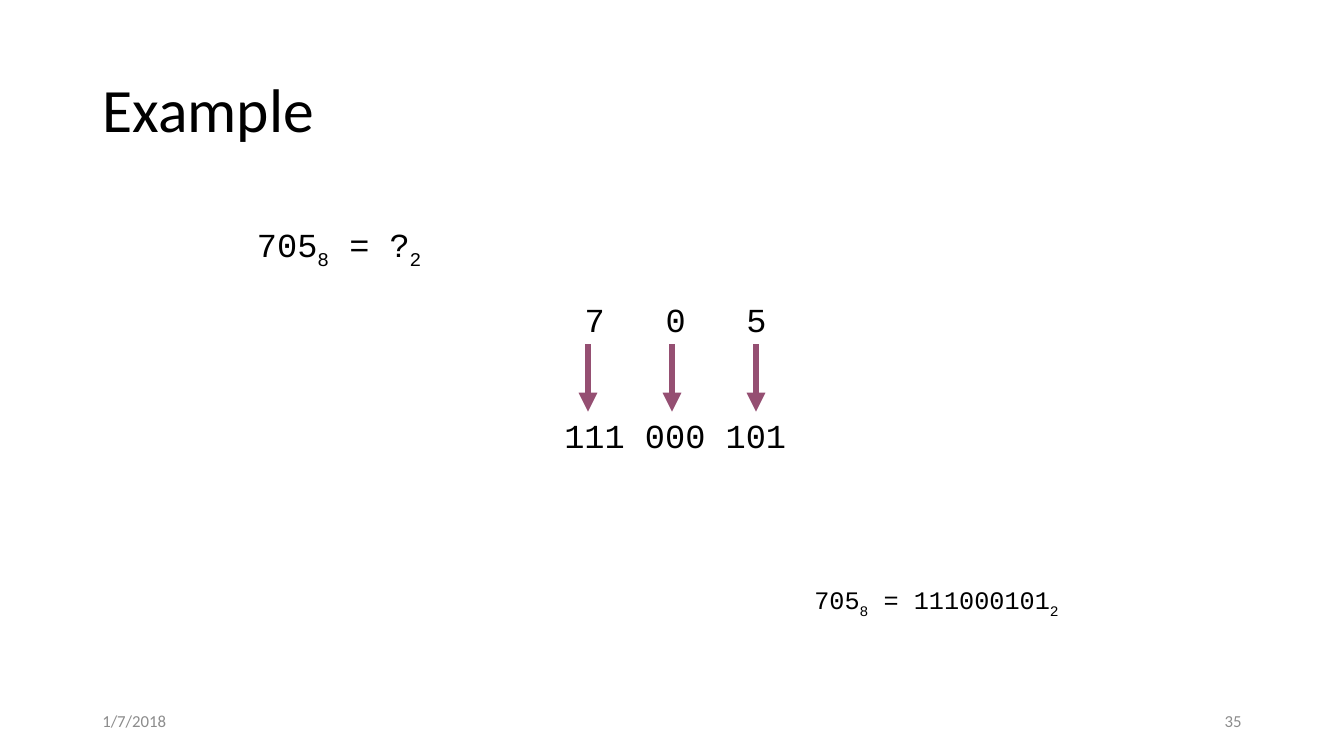
import pptx
import pptx.dml.color
import pptx.enum.shapes
import pptx.enum.text
import pptx.oxml.ns
import pptx.util
from lxml import etree

PX = 9525
ALIGN = pptx.enum.text.PP_ALIGN
ANCHOR = pptx.enum.text.MSO_ANCHOR
BLACK = "000000"
PURPLE = "954F72"
GRAY = "8C8C8C"
CODE = {"name": "Courier New", "size": pptx.util.Pt(24)}
SMALL_CODE = {"name": "Courier New", "size": pptx.util.Pt(18)}
TITLE = {"name": "Calibri", "size": pptx.util.Pt(44)}
FOOTER = {"name": "Calibri", "size": pptx.util.Pt(12)}
CENTERED = {"alignment": ALIGN.CENTER}


def px(length):
    return pptx.util.Emu(length * PX)


def rgb(value):
    return pptx.dml.color.RGBColor.from_string(value)


def set_all(target, values):
    for name, value in values.items():
        setattr(target, name, value)


def add_child(parent, tag, **attributes):
    return etree.SubElement(parent, pptx.oxml.ns.qn(tag), attributes)


def write(para, text, font, color=BLACK, baseline=0):
    span = para.add_run()
    span.text = text
    set_all(span.font, font)
    span.font.color.rgb = rgb(color)
    if baseline:
        span._r.get_or_add_rPr().set("baseline", str(baseline * 1000))


def add_box(page, left, top, width, height, anchor=ANCHOR.TOP):
    box = page.shapes.add_textbox(px(left), px(top), px(width), px(height))
    set_all(box.text_frame, {"word_wrap": True, "vertical_anchor": anchor})
    return box.text_frame


def add_title(page, text):
    title = page.shapes.title
    set_all(title, {"left": px(88), "top": px(38), "width": px(1104), "height": px(139)})
    set_all(title.text_frame, {
        "vertical_anchor": ANCHOR.MIDDLE,
        "word_wrap": True,
        "auto_size": pptx.enum.text.MSO_AUTO_SIZE.NONE,
    })
    para = title.text_frame.paragraphs[0]
    set_all(para, {"alignment": ALIGN.LEFT, "line_spacing": 0.9})
    write(para, text, TITLE)


def add_equation(page, place, font, number, result):
    para = add_box(page, *place).paragraphs[0]
    set_all(para, CENTERED)
    write(para, number, font)
    write(para, "8", font, baseline=-25)
    write(para, f" = {result}", font)
    write(para, "2", font, baseline=-25)


def add_digit_groups(page, digits, groups):
    frame = add_box(page, 528, 280, 280, 165)
    digit_row = frame.paragraphs[0]
    tabs = add_child(digit_row._p.get_or_add_pPr(), "a:tabLst")
    for column in range(len(digits)):
        add_child(tabs, "a:tab", pos=str(px(29 + 77 * column)), algn="ctr")
    write(digit_row, "".join(f"\t{digit}" for digit in digits), CODE)
    group_row = frame.add_paragraph()
    group_row.space_before = pptx.util.Pt(54)
    write(group_row, " ".join(groups), CODE)


def add_arrow(page, x, top, bottom):
    arrow = page.shapes.add_connector(
        pptx.enum.shapes.MSO_CONNECTOR.STRAIGHT, px(x), px(top), px(x), px(bottom))
    arrow.line.color.rgb = rgb(PURPLE)
    arrow.line.width = pptx.util.Pt(4.5)
    add_child(arrow.line._get_or_add_ln(), "a:tailEnd", type="triangle")
    add_child(arrow._element.spPr, "a:effectLst")


def add_footer(page, left, text, alignment):
    para = add_box(page, left, 667, 288, 38, ANCHOR.MIDDLE).paragraphs[0]
    para.alignment = alignment
    write(para, text, FOOTER, GRAY)


def main():
    deck = pptx.Presentation()
    set_all(deck, {"slide_width": px(1280), "slide_height": px(720)})
    page = deck.slides.add_slide(deck.slide_layouts.get_by_name("Title Only"))
    add_title(page, "Example")
    add_equation(page, (215, 209, 216, 48), CODE, "705", "?")
    add_digit_groups(page, "705", ["111", "000", "101"])
    for column in range(3):
        add_arrow(page, 560 + 80 * column, 328, 392)
    add_equation(page, (704, 552, 376, 38), SMALL_CODE, "705", "111000101")
    add_footer(page, 904, "35", ALIGN.RIGHT)
    add_footer(page, 88, "1/7/2018", ALIGN.LEFT)
    deck.save("out.pptx")


if __name__ == "__main__":
    main()
